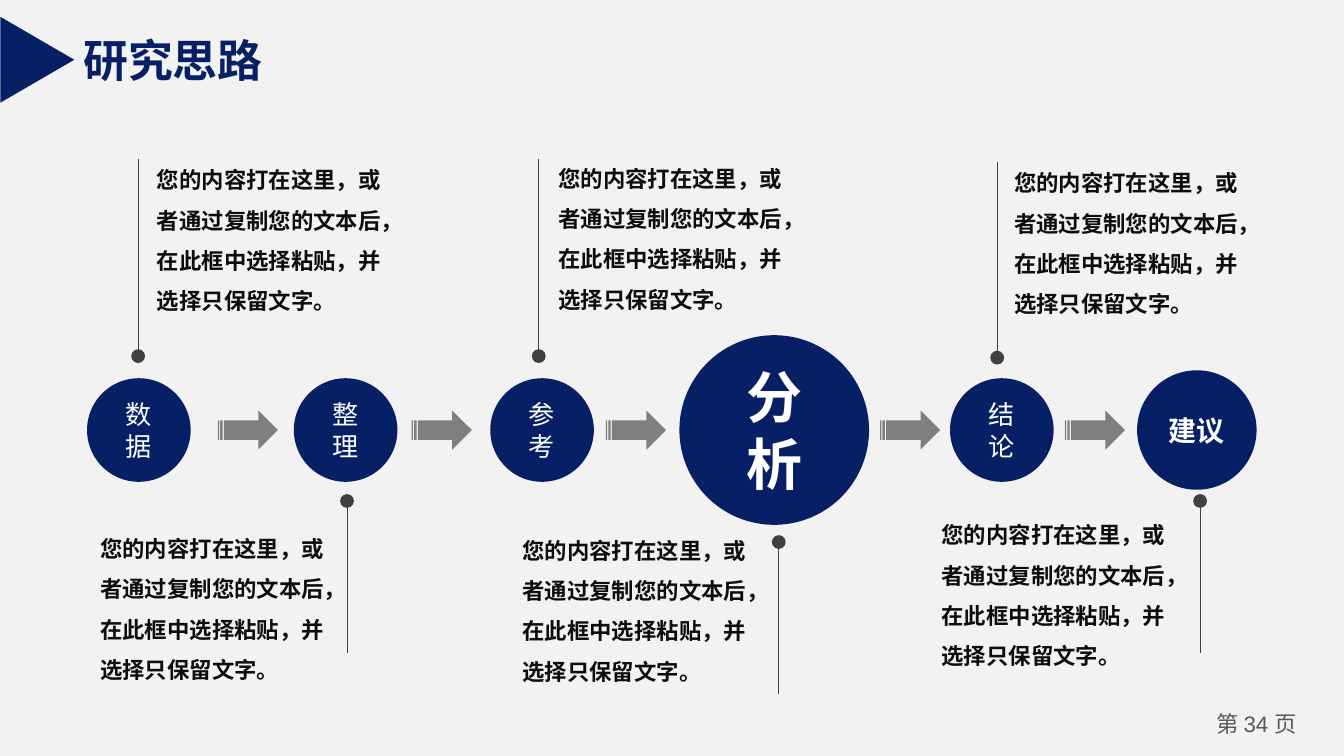
from lxml import etree
from pptx import Presentation
from pptx.dml.color import RGBColor
from pptx.enum.shapes import MSO_CONNECTOR, MSO_SHAPE
from pptx.enum.text import MSO_ANCHOR, MSO_AUTO_SIZE, PP_ALIGN
from pptx.oxml.ns import qn
from pptx.util import Pt

NAVY = RGBColor(0x07, 0x1F, 0x65)
PAPER = RGBColor(0xF2, 0xF2, 0xF2)
WHITE = RGBColor(0xFF, 0xFF, 0xFF)
INK = RGBColor(0x0D, 0x0D, 0x0D)
DARK_GREY = RGBColor(0x40, 0x40, 0x40)
PAGE_GREY = RGBColor(0x59, 0x59, 0x59)
ARROW_GREY = RGBColor(0x7F, 0x7F, 0x7F)

CJK_FONT = "Noto Sans CJK SC"
NOTE = "您的内容打在这里，或者通过复制您的文本后，在此框中选择粘贴，并选择只保留文字。"
FLOW_Y = 230.4
DOT_SIZE = 7.4

# label, centre x, diameter, text size, bold
STEPS = [
    ("数据", 74.4, 55.5, 14, False),
    ("整理", 185.2, 55.5, 14, False),
    ("参考", 290.4, 55.5, 14, False),
    ("分析", 414.8, 101.6, 30, True),
    ("结论", 536.7, 55.5, 14, False),
    ("建议", 641.2, 64, 15, True),
]
ARROW_LEFTS = [116.7, 220.6, 324.6, 471.5, 570.5]

# dot centre x and y, far end of the line, then left, top and width of the text
NOTES = [
    (74, 190.8, 85, 77, 78.4, 143.3),
    (185.9, 268.4, 350, 46.6, 276, 140.4),
    (534.2, 191.6, 87, 536.2, 80, 145.4),
    (288.6, 190.8, 85, 292, 77.6, 143.3),
    (642.9, 268.4, 350, 497.3, 268.6, 145.4),
    (417.2, 290.4, 372, 272.8, 276.8, 143.3),
]


def style_run(r, size, color, bold=False, name=CJK_FONT):
    r.font.size = Pt(size)
    r.font.bold = bold
    r.font.color.rgb = color
    r.font.name = name
    ea = etree.SubElement(r._r.rPr, qn("a:ea"))
    ea.set("typeface", name)


def add_shape(slide, kind, cx, cy, width, height, color):
    """Add a filled shape without outline, centred on (cx, cy)."""
    sp = slide.shapes.add_shape(kind, Pt(cx - width / 2), Pt(cy - height / 2),
                                Pt(width), Pt(height))
    sp.shadow.inherit = False
    sp.fill.solid()
    sp.fill.fore_color.rgb = color
    sp.line.fill.background()
    return sp


def add_step(slide, label, cx, diameter, size, bold):
    sp = add_shape(slide, MSO_SHAPE.OVAL, cx, FLOW_Y, diameter, diameter, NAVY)
    tf = sp.text_frame
    tf.word_wrap = True
    tf.vertical_anchor = MSO_ANCHOR.MIDDLE
    tf.text = label
    p = tf.paragraphs[0]
    p.alignment = PP_ALIGN.CENTER
    style_run(p.runs[0], size, WHITE, bold)


def add_flow_arrow(slide, left):
    width, height = 32.2, 21
    add_shape(slide, MSO_SHAPE.STRIPED_RIGHT_ARROW, left + width / 2, FLOW_Y,
              width, height, ARROW_GREY)


def add_note(slide, x, dot_y, line_end, left, top, width):
    """Add a dot, the line that leaves it up or down, and the text beside it."""
    add_shape(slide, MSO_SHAPE.OVAL, x, dot_y, DOT_SIZE, DOT_SIZE, DARK_GREY)
    line = slide.shapes.add_connector(MSO_CONNECTOR.STRAIGHT, Pt(x), Pt(dot_y),
                                      Pt(x), Pt(line_end))
    line.line.color.rgb = DARK_GREY
    line.line.width = Pt(0.5)
    etree.SubElement(line._element.spPr, qn("a:effectLst"))

    box = slide.shapes.add_textbox(Pt(left), Pt(top), Pt(width), Pt(92.2))
    tf = box.text_frame
    tf.word_wrap = True
    tf.auto_size = MSO_AUTO_SIZE.SHAPE_TO_FIT_TEXT
    tf.text = NOTE
    p = tf.paragraphs[0]
    p.line_spacing = 1.5
    style_run(p.runs[0], 12, INK, True)


def set_title(slide, text):
    title = slide.shapes.title
    title.left, title.top, title.width, title.height = Pt(37.4), Pt(13.7), Pt(111.6), Pt(36)
    tf = title.text_frame
    tf.word_wrap = False
    tf.auto_size = MSO_AUTO_SIZE.NONE
    tf.vertical_anchor = MSO_ANCHOR.MIDDLE
    tf.text = text
    p = tf.paragraphs[0]
    p.alignment = PP_ALIGN.LEFT
    p.space_before = Pt(0)
    style_run(p.runs[0], 24, NAVY, True)


def add_title_marker(slide):
    sp = add_shape(slide, MSO_SHAPE.ISOSCELES_TRIANGLE, 20, 32, 46, 39.6, NAVY)
    sp.rotation = 90


def add_page_number(slide):
    box = slide.shapes.add_textbox(Pt(640.8), Pt(377.3), Pt(64.8), Pt(21.6))
    tf = box.text_frame
    tf.word_wrap = True
    tf.margin_left = tf.margin_right = Pt(5)
    tf.margin_top = tf.margin_bottom = Pt(3)
    p = tf.paragraphs[0]
    p.alignment = PP_ALIGN.CENTER
    for text, name in (("第 ", CJK_FONT), ("34 ", "Arial"), ("页", CJK_FONT)):
        r = p.add_run()
        r.text = text
        style_run(r, 12, PAGE_GREY, name=name)


def main():
    prs = Presentation()
    prs.slide_width, prs.slide_height = Pt(720), Pt(405)
    slide = prs.slides.add_slide(prs.slide_layouts[5])
    slide.background.fill.solid()
    slide.background.fill.fore_color.rgb = PAPER

    set_title(slide, "研究思路")
    add_title_marker(slide)
    for step in STEPS:
        add_step(slide, *step)
    for left in ARROW_LEFTS:
        add_flow_arrow(slide, left)
    for note in NOTES:
        add_note(slide, *note)
    add_page_number(slide)
    prs.save("out.pptx")


if __name__ == "__main__":
    main()
